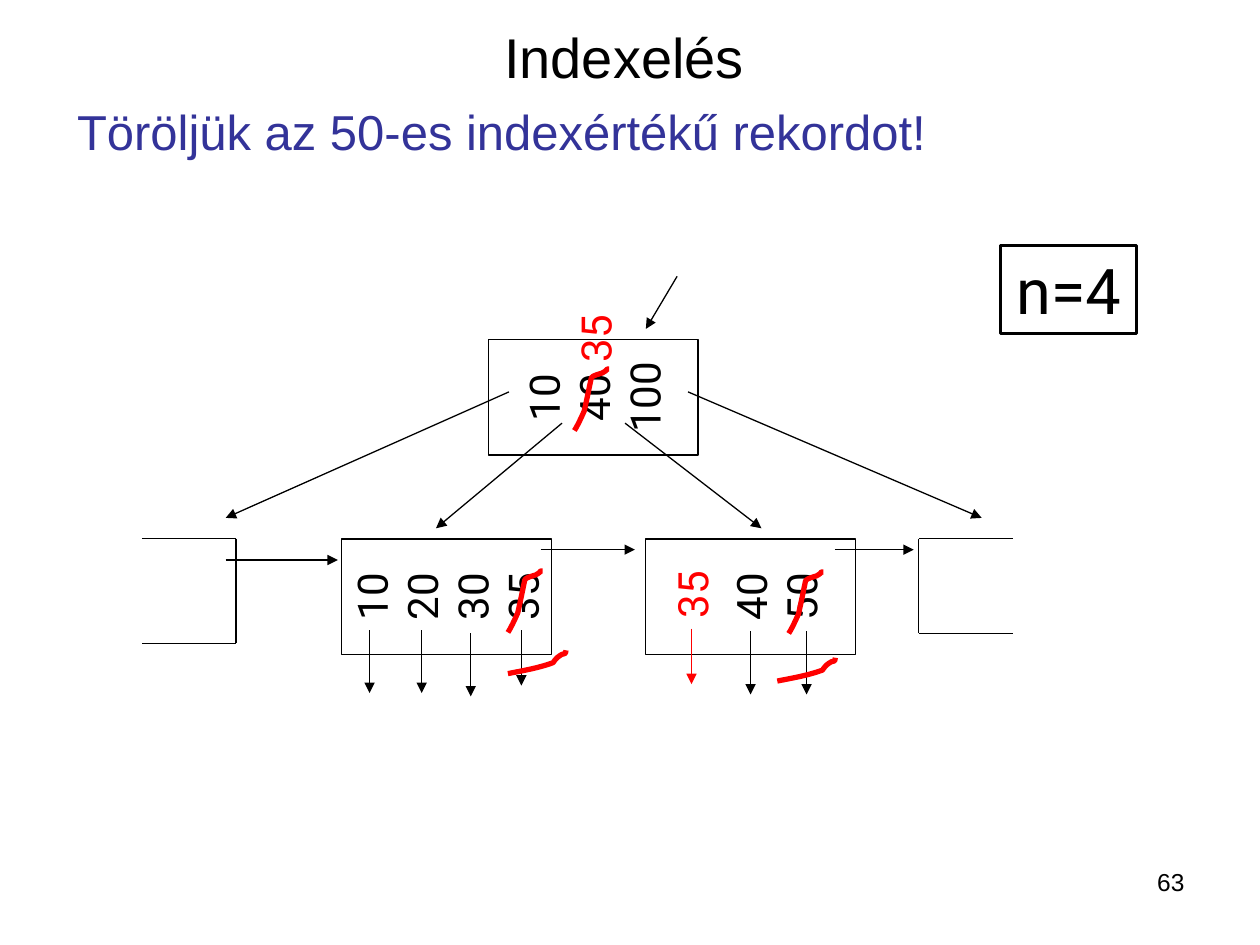
"""Build the slide on deleting a key from a B-tree index."""
import pptx
import pptx.util
import pptx.dml.color
import pptx.enum.text
import pptx.enum.shapes
import pptx.oxml.ns
from lxml import etree

Cm, Pt = pptx.util.Cm, pptx.util.Pt
ALIGN = pptx.enum.text.PP_ALIGN
ANCHOR = pptx.enum.text.MSO_ANCHOR
COLOURS = {"ink": "000000", "paper": "FFFFFF", "mark": "FF0000", "heading": "333399"}

TITLE = ("Indexelés", (9.91, 0.33, 5.59, 1.63), {"size": 32, "font": "Arial"})
TASK = ("Töröljük az 50-es indexértékű rekordot!", (1.3, 1.92, 19.81, 1.8),
        {"size": 28, "font": "Arial", "colour": "heading"})
NUMBER = ("63", (18.21, 17.35, 5.92, 1.32), {"size": 14, "font": "Arial", "align": ALIGN.RIGHT})
ORDER = ("n=4", (20.17, 4.95, 2.74, 1.78))

NODE_SIZE = (2.33, 4.23)
LABEL_SIZE = (1.47, 1.27)
NODES = [  # keys, centre, room kept for a new key
    (["10", "40", "100"], (11.96, 8.01), 0),
    (["10", "20", "30", "35"], (9.0, 12.03), 0),
    (["40", "50"], (15.13, 12.03), 1),
]
NEW_KEYS = [("35", (13.94, 11.99)), ("35", (11.99, 6.83))]

ARROWS = [
    (13.65, 5.57, 13.02, 6.63),
    (11.33, 8.53, 8.79, 10.65),
    (12.6, 8.53, 15.35, 10.65),
    (10.26, 7.9, 4.55, 10.44),
    (13.87, 7.9, 19.79, 10.44),
    (4.55, 11.29, 6.81, 11.29),
    (10.9, 11.08, 12.8, 11.08),
    (16.83, 11.08, 18.42, 11.08),
]
RECORDS = [
    (7.45, 12.7, 1.27, "ink"), (8.5, 12.7, 1.27, "ink"), (9.49, 12.77, 1.27, "ink"),
    (10.51, 12.7, 1.12, "ink"), (13.94, 12.67, 1.12, "mark"),
    (15.13, 12.73, 1.27, "ink"), (16.26, 12.73, 1.27, "ink"),
]
OPEN_NODES = [(2.86, 4.76, 10.86, 12.97), (20.42, 18.52, 10.86, 12.77)]

KEY_STROKE = [(0, 1.24), (0.08, 1.12), (0.2, 0.84), (0.2, 0.84), (0.3, 0.38), (0.25, 0.61),
              (0.34, 0.18), (0.36, 0.13), (0.51, 0.1), (0.56, 0.08), (0.71, 0), (0.61, 0), (0.7, 0)]
RECORD_STROKE = [(0, 0.47), (0.3, 0.41), (0.61, 0.36), (0.91, 0.25), (0.94, 0.23),
                 (0.94, 0.18), (0.99, 0.15), (1.17, 0), (1.15, 0.13), (1.17, 0)]
STROKES = [
    (KEY_STROKE, [(11.58, 7.44), (10.24, 11.51), (15.9, 11.53)]),
    (RECORD_STROKE, [(10.24, 13.11), (15.67, 13.26)]),
]


def tag(name):
    return pptx.oxml.ns.qn(f"a:{name}")


def rgb(name):
    return pptx.dml.color.RGBColor.from_string(COLOURS[name])


def set_all(target, values):
    for name, value in values.items():
        setattr(target, name, value)


def place(box, area):
    set_all(box, dict(zip(("left", "top", "width", "height"), map(Cm, area))))


def write(box, lines, size=24, font="Roboto", colour="ink", align=ALIGN.CENTER,
          anchor=ANCHOR.MIDDLE, wrap=False):
    frame = box.text_frame
    set_all(frame, {"text": "\n".join(lines), "word_wrap": wrap, "vertical_anchor": anchor,
                    "auto_size": pptx.enum.text.MSO_AUTO_SIZE.NONE})
    for para in frame.paragraphs:
        set_all(para, {"alignment": align, "space_before": Pt(0)})
        for span in para.runs:
            set_all(span.font, {"size": Pt(size), "name": font})
            span.font.color.rgb = rgb(colour)


def outline(shape, colour="ink", width=0.75):
    shape.line.color.rgb = rgb(colour)
    shape.line.width = Pt(width)


def add_line(page, ends, colour="ink", arrow=False):
    line = page.shapes.add_connector(pptx.enum.shapes.MSO_CONNECTOR.STRAIGHT, *map(Cm, ends))
    outline(line, colour)
    if arrow:
        etree.SubElement(line.line._get_or_add_ln(), tag("tailEnd"), type="triangle")
    etree.SubElement(line._element.spPr, tag("effectLst"))


def add_rectangle(page, area, width=0.75):
    box = page.shapes.add_shape(pptx.enum.shapes.MSO_SHAPE.RECTANGLE, *map(Cm, area))
    box.shadow.inherit = False
    outline(box, width=width)
    return box


def around(centre, size):
    return (centre[0] - size[0] / 2, centre[1] - size[1] / 2, *size)


def add_stroke(page, controls, corner):
    points = [(Cm(x), Cm(y)) for x, y in controls]
    builder = page.shapes.build_freeform(*points[0])
    builder.add_line_segments(points[3::3], close=False)
    stroke = builder.convert_to_shape(*map(Cm, corner))
    segments = list(stroke._element.iter(tag("lnTo")))
    for index, segment in enumerate(segments):
        curve = etree.Element(tag("cubicBezTo"))
        for x, y in points[3 * index + 1:3 * index + 4]:
            etree.SubElement(curve, tag("pt"), x=str(x), y=str(y))
        segment.getparent().replace(segment, curve)
    stroke.shadow.inherit = False
    stroke.fill.background()
    outline(stroke, "mark", 3)


def add_headings(page):
    number = page.shapes.add_textbox(*map(Cm, NUMBER[1]))
    for box, (text, area, style) in zip(
            (page.shapes.title, page.placeholders[1], number), (TITLE, TASK, NUMBER)):
        place(box, area)
        write(box, [text], **{"align": ALIGN.LEFT, "anchor": ANCHOR.TOP, "wrap": True, **style})
    properties = page.placeholders[1].text_frame.paragraphs[0]._p.get_or_add_pPr()
    for name, value in {"marL": Cm(0.95), "indent": Cm(-0.95)}.items():
        properties.set(name, str(value))
    etree.SubElement(properties, tag("buNone"))


def add_tree(page):
    for keys, centre, room in NODES:
        node = add_rectangle(page, around(centre, NODE_SIZE))
        node.rotation = 270
        node.fill.solid()
        node.fill.fore_color.rgb = rgb("paper")
        write(node, keys)
        node.text_frame.margin_top = Cm(0.13 + room)
    for ends in ARROWS:
        add_line(page, ends, arrow=True)
    for x, top, length, colour in RECORDS:
        add_line(page, (x, top, x, top + length), colour, arrow=True)
    for free, wall, top, bottom in OPEN_NODES:
        for ends in ((free, top, wall, top), (wall, top, wall, bottom), (wall, bottom, free, bottom)):
            add_line(page, ends)


def add_changes(page):
    for key, centre in NEW_KEYS:
        label = page.shapes.add_textbox(*map(Cm, around(centre, LABEL_SIZE)))
        label.rotation = 270
        write(label, [key], colour="mark")
    for controls, corners in STROKES:
        for corner in corners:
            add_stroke(page, controls, corner)


def main():
    deck = pptx.Presentation()
    set_all(deck, {"slide_width": Cm(25.4), "slide_height": Cm(19.05)})
    page = deck.slides.add_slide(deck.slide_layouts[1])
    add_headings(page)
    add_tree(page)
    order = add_rectangle(page, ORDER[1], 1.5)
    order.fill.background()
    write(order, [ORDER[0]], size=36)
    add_changes(page)
    deck.save("out.pptx")


if __name__ == "__main__":
    main()
